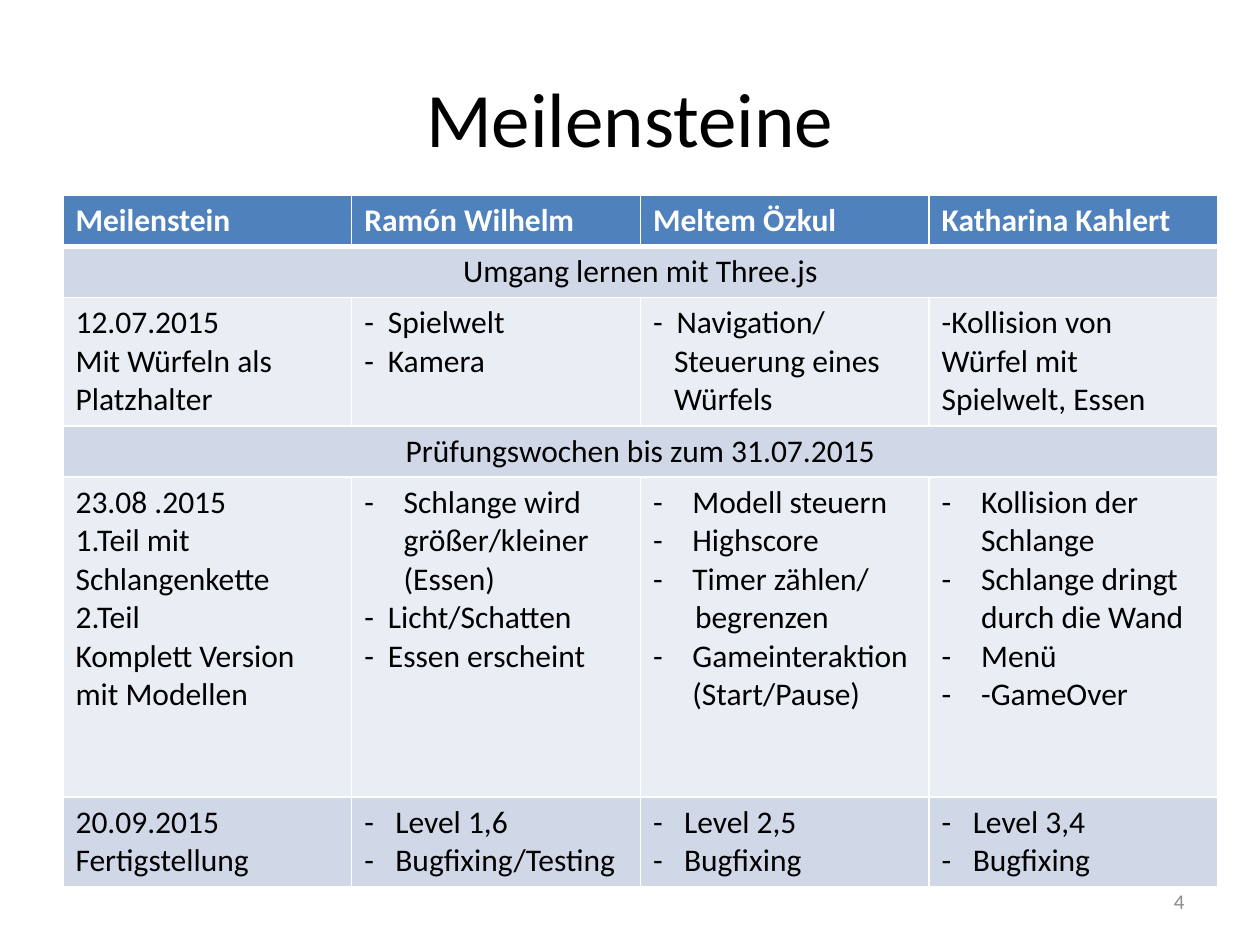
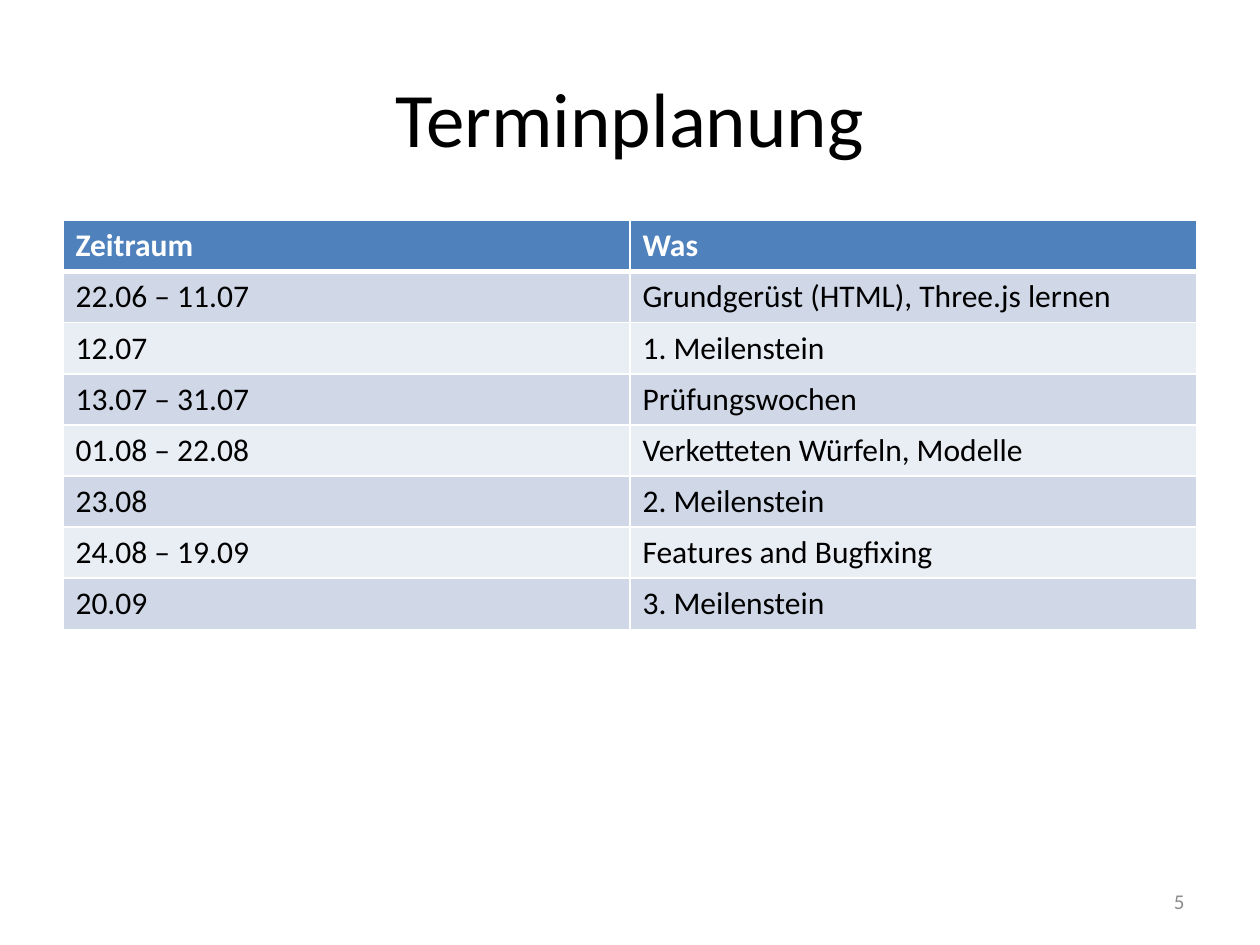
from pptx import Presentation
from pptx.dml.color import RGBColor as RGB
from pptx.enum.text import MSO_ANCHOR as Anchor, PP_ALIGN as Align
from pptx.oxml.ns import qn
from pptx.util import Pt
from lxml.etree import SubElement as Sub

FONT = "Calibri"
BLACK = RGB(0, 0, 0)
WHITE = RGB(255, 255, 255)
GREY = RGB(0x8C, 0x8C, 0x8C)
BLUE = RGB(0x4F, 0x81, 0xBD)
BANDS = [RGB(0xE9, 0xED, 0xF4), RGB(0xD0, 0xD8, 0xE8)]
LEFT = 36
ROW = 29.2


def lines(*texts, left=0, dash=False):
    """Describe paragraphs as (text, left indent, has dash)."""
    return [(text, left, dash) for text in texts]


def dashes(left, *texts):
    """Describe paragraphs with a hanging dash."""
    return lines(*texts, left=left, dash=True)


def add_run(para, text, size, color, bold=False):
    """Add one formatted run to a paragraph."""
    run = para.add_run()
    run.text = text
    font = run.font
    font.name, font.size, font.bold = FONT, Pt(size), bold
    font.color.rgb = color


def indent(para, left, dash):
    """Indent a paragraph, with a dash hanging in front if wanted."""
    props = para._p.get_or_add_pPr()
    props.set("marL", str(Pt(left)))
    if dash:
        props.set("indent", str(-Pt(left)))
        Sub(props, qn("a:buFont"), typeface=FONT)
        Sub(props, qn("a:buChar"), char="-")


def set_edges(cell, top, bottom):
    """Draw white cell borders, with given top and bottom widths."""
    props = cell._tc.get_or_add_tcPr()
    for side, width in zip("LRTB", (1, 1, top, bottom)):
        line = Sub(props, qn(f"a:ln{side}"), w=str(Pt(width)))
        fill = Sub(line, qn("a:solidFill"))
        Sub(fill, qn("a:srgbClr"), val=str(WHITE))


def fill_cell(cell, paras, head, align):
    """Write the paragraphs of one cell."""
    frame = cell.text_frame
    for num, (text, left, dash) in enumerate(paras):
        para = frame.add_paragraph() if num else frame.paragraphs[0]
        para.alignment = align
        if left:
            indent(para, left, dash)
        add_run(para, text, 18, WHITE if head else BLACK, head)


def add_table(slide, top, width, heights, rows):
    """Add a banded table; a row with a single entry spans all columns."""
    count = len(rows[0])
    table = slide.shapes.add_table(len(rows), count, Pt(LEFT), Pt(top),
                                   Pt(width), Pt(sum(heights))).table
    for col in table.columns:
        col.width = Pt(width / count)
    for num, (row, height) in enumerate(zip(rows, heights)):
        table.rows[num].height = Pt(height)
        for cell in table.rows[num].cells:
            set_edges(cell, 3 if num == 1 else 1, 1 if num else 3)
            cell.fill.solid()
            cell.fill.fore_color.rgb = BANDS[num % 2] if num else BLUE
        wide = len(row) == 1
        if wide:
            table.cell(num, 0).merge(table.cell(num, count - 1))
        for col, item in enumerate(row):
            paras = lines(item) if isinstance(item, str) else item
            fill_cell(table.cell(num, col), paras, num == 0,
                      Align.CENTER if wide else Align.LEFT)


def add_slide(deck, title, number):
    """Add a slide with its title and page number."""
    slide = deck.slides.add_slide(deck.slide_layouts[5])
    head = slide.shapes.title
    head.left, head.top, head.width, head.height = map(Pt, (LEFT, 21.6, 648, 90))
    page = slide.shapes.add_textbox(Pt(516), Pt(500.5), Pt(168), Pt(28.75))
    for shape, text, size, color, align in (
            (head, title, 44, BLACK, Align.CENTER),
            (page, str(number), 12, GREY, Align.RIGHT)):
        frame = shape.text_frame
        frame.word_wrap = True
        frame.vertical_anchor = Anchor.MIDDLE
        para = frame.paragraphs[0]
        para.alignment = align
        add_run(para, text, size, color)
    return slide


def add_goals(deck):
    """Build the milestone slide."""
    slide = add_slide(deck, "Meilensteine", 4)
    rows = [
        ["Meilenstein", "Ramón Wilhelm", "Meltem Özkul", "Katharina Kahlert"],
        ["Umgang lernen mit Three.js"],
        [lines("12.07.2015", "Mit Würfeln als Platzhalter"),
         dashes(13.5, "Spielwelt", "Kamera"),
         dashes(13.5, "Navigation/") + lines("Steuerung eines", "Würfels", left=12),
         "-Kollision von Würfel mit Spielwelt, Essen"],
        ["Prüfungswochen bis zum 31.07.2015"],
        [lines("23.08 .2015", "1.Teil mit Schlangenkette", "2.Teil",
               "Komplett Version mit Modellen"),
         dashes(22.5, "Schlange wird größer/kleiner (Essen)")
         + dashes(13.5, "Licht/Schatten", "Essen erscheint"),
         dashes(22.5, "Modell steuern", "Highscore", "Timer zählen/")
         + lines("begrenzen", left=24)
         + dashes(22.5, "Gameinteraktion (Start/Pause)"),
         dashes(22.5, "Kollision der Schlange", "Schlange dringt durch die Wand",
                "Menü", "-GameOver")],
        [lines("20.09.2015", "Fertigstellung"),
         dashes(17.75, "Level 1,6", "Bugfixing/Testing"),
         dashes(17.75, "Level 2,5", "Bugfixing"),
         dashes(17.75, "Level 3,4", "Bugfixing")],
    ]
    add_table(slide, 111.6, 660, [ROW, ROW, 73.4, ROW, 183, 51], rows)


def add_dates(deck):
    """Build the schedule slide."""
    slide = add_slide(deck, "Terminplanung", 5)
    rows = [
        ["Zeitraum", "Was"],
        ["22.06 – 11.07", "Grundgerüst (HTML), Three.js lernen"],
        ["12.07", "1. Meilenstein"],
        ["13.07 – 31.07", "Prüfungswochen"],
        ["01.08 – 22.08", "Verketteten Würfeln, Modelle"],
        ["23.08", "2. Meilenstein"],
        ["24.08 – 19.09", "Features and Bugfixing"],
        ["20.09", "3. Meilenstein"],
    ]
    add_table(slide, 126, 648, [ROW] * len(rows), rows)


def main():
    """Build and save the deck."""
    deck = Presentation()
    deck.slide_width, deck.slide_height = Pt(720), Pt(540)
    add_goals(deck)
    add_dates(deck)
    deck.save("out.pptx")


main()
